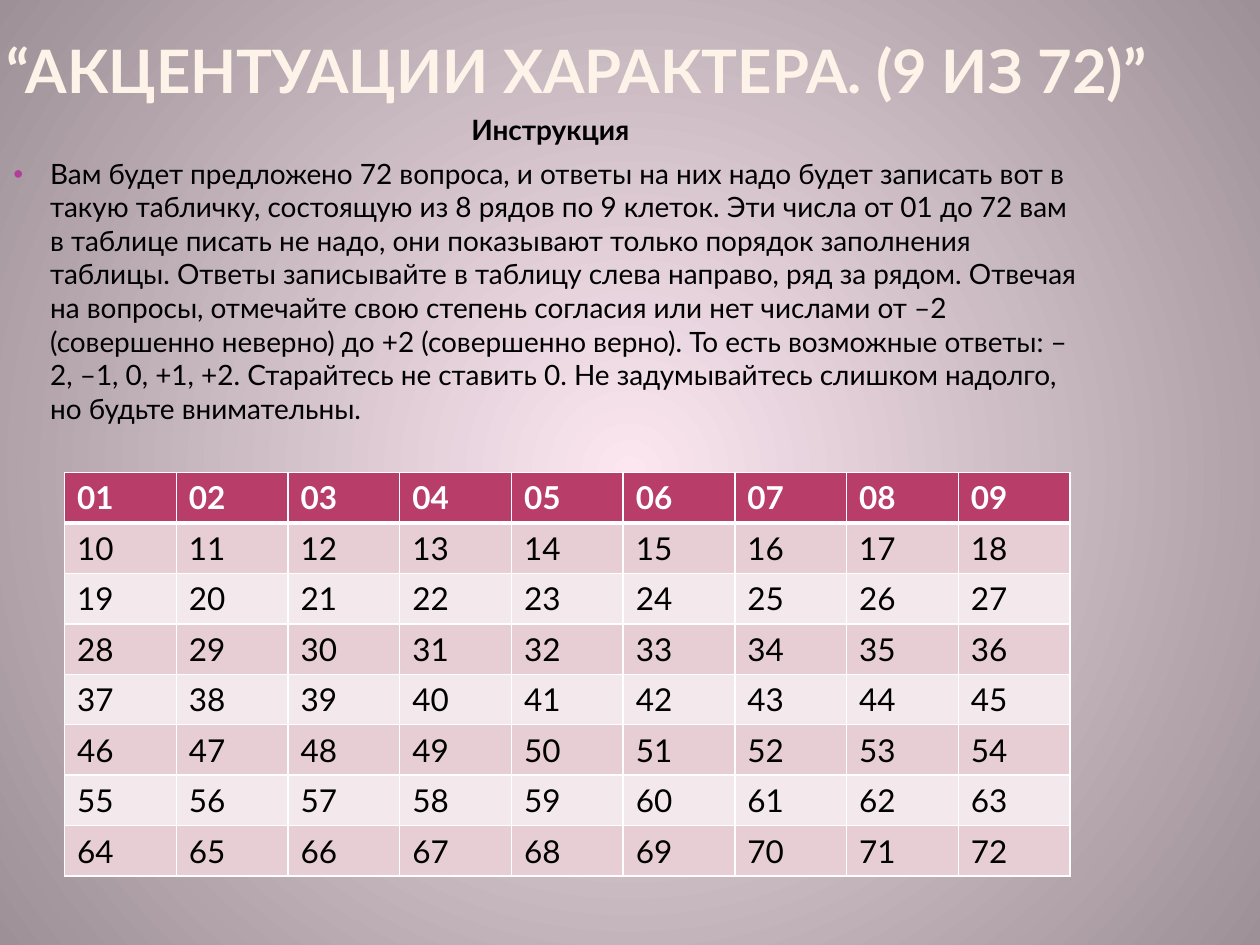
from lxml.etree import SubElement
from pptx import Presentation
from pptx.dml.color import RGBColor
from pptx.enum.text import MSO_ANCHOR, PP_ALIGN
from pptx.oxml import parse_xml
from pptx.oxml.ns import nsdecls, qn
from pptx.util import Pt

COLS, ROWS = 9, 8
HEADING = "“АКЦЕНТУАЦИИ ХАРАКТЕРА. (9 ИЗ 72)”"
GUIDE = (
    "Вам будет предложено 72 вопроса, и ответы на них надо будет записать вот в "
    "такую табличку, состоящую из 8 рядов по 9 клеток. Эти числа от 01 до 72 вам в "
    "таблице писать не надо, они показывают только порядок заполнения таблицы. "
    "Ответы записывайте в таблицу слева направо, ряд за рядом. Отвечая на "
    "вопросы, отмечайте свою степень согласия или нет числами от –2 (совершенно "
    "неверно) до +2 (совершенно верно). То есть возможные ответы: –2, –1, 0, +1, +2. "
    "Старайтесь не ставить 0. Не задумывайтесь слишком надолго, но будьте "
    "внимательны."
)


def color(text):
    return RGBColor.from_string(text)


class Page:
    font = "Lato"
    ink, white, cream = "000000", "FFFFFF", "FEF3E8"
    head, bands = "B83D68", ("F3E8EB", "E6CED4")
    dot = "B13F9A"

    def __init__(self, slide):
        self.slide = slide

    def style(self, para, size, tint, bold=False):
        para.font.name = self.font
        para.font.size = Pt(size)
        para.font.bold = bold
        para.font.color.rgb = color(tint)

    def backdrop(self, inner, outer):
        """Fill the background with a gradient that spreads from the centre."""
        self.slide.background.fill.solid()
        props = self.slide.element.find(".//" + qn("p:bgPr"))
        props.replace(props[0], parse_xml(
            f'<a:gradFill {nsdecls("a")} rotWithShape="1"><a:gsLst>'
            f'<a:gs pos="0"><a:srgbClr val="{inner}"/></a:gs>'
            f'<a:gs pos="100000"><a:srgbClr val="{outer}"/></a:gs></a:gsLst>'
            '<a:path path="circle"><a:fillToRect l="50000" t="50000" r="50000" b="50000"/>'
            '</a:path></a:gradFill>'))

    def box(self, left, top, width, height):
        shape = self.slide.shapes.add_textbox(Pt(left), Pt(top), Pt(width), Pt(height))
        frame = shape.text_frame
        frame.word_wrap = True
        frame.margin_left = frame.margin_right = Pt(3.6)
        return frame

    def title(self, text, *area):
        frame = self.box(*area)
        frame.margin_top = frame.margin_bottom = 0
        frame.vertical_anchor = MSO_ANCHOR.BOTTOM
        para = frame.paragraphs[0]
        para.text = text
        self.style(para, 34.2, self.cream, True)

    def body(self, label, text, *area):
        frame = self.box(*area)
        frame.margin_left = frame.margin_right = Pt(7.2)
        first, second = frame.paragraphs[0], frame.add_paragraph()
        first.text, second.text = label, text
        first.alignment = PP_ALIGN.CENTER
        for para in (first, second):
            para.space_before = Pt(6)
            self.style(para, 16, self.ink, para is first)
            self.indent(para, 21.6)
        self.bullet(second)

    def indent(self, para, size):
        props = para._p.get_or_add_pPr()
        props.set("marL", str(Pt(size)))
        props.set("indent", str(-Pt(size)))

    def bullet(self, para):
        props = para._p.get_or_add_pPr()
        marks = (
            f'<a:buClr {nsdecls("a")}><a:srgbClr val="{self.dot}"/></a:buClr>',
            f'<a:buSzPct {nsdecls("a")} val="73000"/>',
            f'<a:buFont {nsdecls("a")} typeface="{self.font}"/>',
            f'<a:buChar {nsdecls("a")} char="•"/>',
        )
        spot = props.index(props.find(qn("a:spcBef"))) + 1
        for step, mark in enumerate(marks):
            props.insert(spot + step, parse_xml(mark))

    def border(self, cell, **widths):
        """Draw white cell borders; the keys are L, R, T and B, in that order."""
        props = cell._tc.get_or_add_tcPr()
        for side, width in widths.items():
            line = SubElement(props, qn("a:ln" + side), w=str(Pt(width)))
            fill = SubElement(line, qn("a:solidFill"))
            SubElement(fill, qn("a:srgbClr"), val=self.white)

    def grid(self, left, top, width, height):
        """Number the cells from left to right, row by row."""
        table = self.slide.shapes.add_table(
            ROWS, COLS, Pt(left), Pt(top), Pt(width), Pt(height)).table
        for index, cell in enumerate(table.iter_cells()):
            row = index // COLS
            first = row == 0
            self.border(cell, L=1, R=1, T=3 if row == 1 else 1, B=3 if first else 1)
            cell.fill.solid()
            cell.fill.fore_color.rgb = color(self.head if first else self.bands[row % 2])
            cell.text = f"{index + 1:02}"
            self.style(cell.text_frame.paragraphs[0], 18,
                       self.white if first else self.ink, first)


def main():
    deck = Presentation()
    deck.slide_width, deck.slide_height = Pt(720), Pt(540)
    page = Page(deck.slides.add_slide(deck.slide_layouts[6]))
    page.backdrop("FCE7F1", "9D9096")
    page.title(HEADING, 0, -30, 666, 90)
    page.body("Инструкция", GUIDE, 0, 60.5, 629, 209.5)
    page.grid(36.9, 270, 574.6, 230.4)
    deck.save("out.pptx")


if __name__ == "__main__":
    main()
